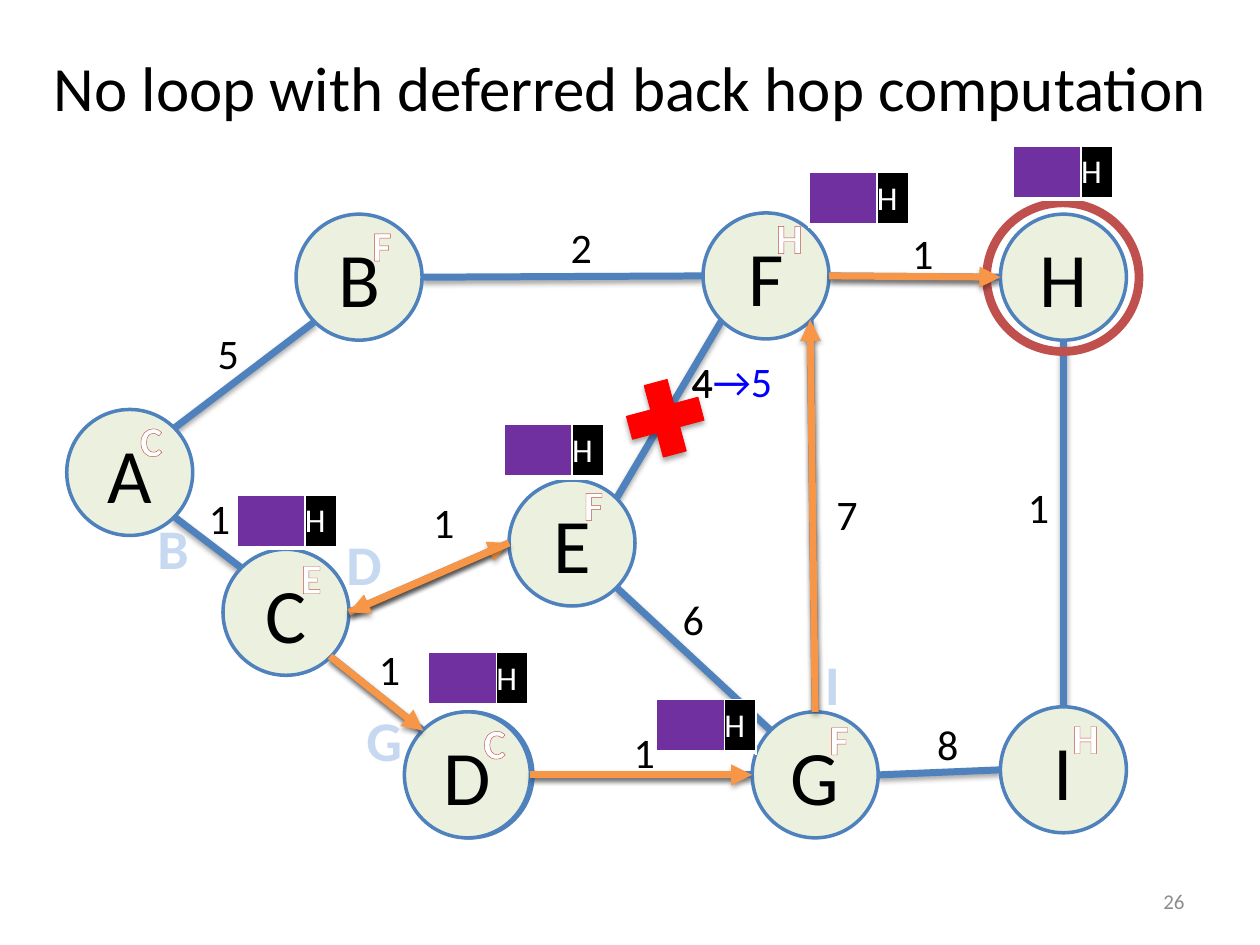
from lxml.etree import SubElement
from pptx import Presentation
from pptx.dml.color import RGBColor
from pptx.enum.dml import MSO_PATTERN
from pptx.enum.shapes import MSO_CONNECTOR, MSO_SHAPE
from pptx.enum.text import MSO_ANCHOR, PP_ALIGN
from pptx.oxml import parse_xml
from pptx.oxml.ns import nsdecls, qn
from pptx.util import Inches, Pt

BLACK = RGBColor(0x00, 0x00, 0x00)
WHITE = RGBColor(0xFF, 0xFF, 0xFF)
GREY = RGBColor(0x8C, 0x8C, 0x8C)
BLUE = RGBColor(0x4F, 0x81, 0xBD)
PURE_BLUE = RGBColor(0x00, 0x00, 0xFF)
NAVY = RGBColor(0x1F, 0x49, 0x7D)
DARK_NAVY = RGBColor(0x17, 0x37, 0x5E)
PALE_BLUE = RGBColor(0xC6, 0xD9, 0xF1)
PALE_GREEN = RGBColor(0xEB, 0xF1, 0xDE)
GREEN = RGBColor(0x9B, 0xBB, 0x59)
ORANGE = RGBColor(0xF7, 0x96, 0x46)
BRICK = RGBColor(0xC0, 0x50, 0x4D)
RED = RGBColor(0xFF, 0x00, 0x00)
PURPLE = RGBColor(0x70, 0x30, 0xA0)

TITLE = "No loop with deferred back hop computation"
NODE_SIZE = 1
NODES = {
    "A": (0.53, 3.25), "B": (2.35, 1.7), "C": (1.77, 4.36),
    "D": (3.21, 5.65), "E": (4.04, 3.81), "F": (5.58, 1.69),
    "G": (5.97, 5.65), "H": (7.94, 1.7), "I": (7.94, 5.61),
}
PORTS = {
    "n": (0.5, 0), "s": (0.5, 1), "w": (0, 0.5), "e": (1, 0.5),
    "nw": (0.15, 0.15), "ne": (0.85, 0.15),
    "sw": (0.15, 0.85), "se": (0.85, 0.85),
}
LINKS = [
    ("I", "n", "H", "s"), ("A", "ne", "B", "sw"), ("B", "e", "F", "w"),
    ("C", "nw", "A", "se"), ("E", "ne", "F", "sw"), ("G", "e", "I", "w"),
    ("E", "se", "G", "nw"), ("C", "e", "E", "w"), ("C", "se", "D", "nw"),
    ("D", "e", "G", "w"), ("G", "n", "F", "se"), ("F", "e", "H", "w"),
]
ROUTES = [
    ("C", "e", "E", "w"), ("E", "w", "C", "e"), ("C", "se", "D", "nw"),
    ("D", "e", "G", "w"), ("G", "n", "F", "se"), ("F", "e", "H", "w"),
]
COSTS = [
    ("2", 4.43, 1.71), ("1", 7.14, 1.76), ("8", 7.34, 5.65),
    ("1", 2.91, 5.06), ("6", 5.32, 4.66), ("7", 6.54, 3.83),
    ("1", 8.06, 3.77), ("5", 1.63, 2.55), ("1", 1.56, 3.86),
    ("1", 3.34, 3.89), ("1", 4.93, 5.72), ("4", 5.39, 2.78),
]
NEXT_HOPS = [
    ("C", 1.01, 3.24, 0.38), ("F", 2.85, 1.69, 0.36), ("H", 6.06, 1.63, 0.41),
    ("F", 6.48, 5.61, 0.36), ("C", 3.73, 5.64, 0.39), ("E", 2.29, 4.33, 0.29),
    ("H", 8.41, 5.6, 0.41), ("F", 4.53, 3.75, 0.36),
]
BACK_HOPS = [
    ("D", 2.65, 4.15, 0.33), ("I", 6.3, 5.11, 0.61),
    ("G", 2.81, 5.55, 0.33), ("B", 1.15, 4.03, 0.33),
]
PACKETS = [
    (1.88, 3.92), (4, 3.37), (1.88, 3.93), (3.4, 5.18),
    (5.21, 5.55), (6.42, 1.37), (8.04, 1.16),
]
PACKET_COLUMNS = (0.54, 0.25)
PACKET_HEIGHT = 0.42
BORDERS = {"lnL": 1, "lnR": 1, "lnT": 1, "lnB": 3}


def add_run(paragraph, text, size, color=None, **formats):
    run = paragraph.add_run()
    run.text = text
    for name, value in {"name": "Calibri", "size": Pt(size), **formats}.items():
        setattr(run.font, name, value)
    if color is not None:
        run.font.color.rgb = color
    return run


def line_xml(tag, color, width):
    return parse_xml(
        f'<a:{tag} {nsdecls("a")} w="{Pt(width)}"><a:solidFill>'
        f'<a:srgbClr val="{color}"/></a:solidFill></a:{tag}>')


def outline(run, color, width):
    run.font._element.insert(0, line_xml("ln", color, width))


def add_shadow(shape):
    shape._element.spPr.append(parse_xml(
        f'<a:effectLst {nsdecls("a")}><a:outerShdw blurRad="{Pt(3.1)}" dist="{Pt(1.8)}" '
        'dir="5400000" rotWithShape="0"><a:srgbClr val="000000"><a:alpha val="35000"/>'
        '</a:srgbClr></a:outerShdw></a:effectLst>'))


def add_label(slide, left, top, width, height=0.5, align=PP_ALIGN.LEFT):
    frame = slide.shapes.add_textbox(*map(Inches, (left, top, width, height))).text_frame
    frame.word_wrap = True
    frame.paragraphs[0].alignment = align
    return frame


def add_preset(slide, kind, box, fill, color, width):
    shape = slide.shapes.add_shape(kind, *map(Inches, box))
    if fill is None:
        shape.fill.background()
    else:
        shape.fill.solid()
        shape.fill.fore_color.rgb = fill
    shape.line.color.rgb = color
    shape.line.width = Pt(width)
    return shape


def add_node(slide, name, left, top, fill=PALE_GREEN):
    shape = add_preset(slide, MSO_SHAPE.OVAL, (left, top, NODE_SIZE, NODE_SIZE), fill, BLUE, 2)
    shape.shadow.inherit = False
    shape.text_frame.vertical_anchor = MSO_ANCHOR.MIDDLE
    paragraph = shape.text_frame.paragraphs[0]
    paragraph.alignment = PP_ALIGN.CENTER
    add_run(paragraph, name, 44, BLACK)


def port(node, side):
    return [Inches(start + share * NODE_SIZE) for start, share in zip(NODES[node], PORTS[side])]


def add_link(slide, start, start_side, end, end_side, color=BLUE, arrow=False):
    connector = slide.shapes.add_connector(
        MSO_CONNECTOR.STRAIGHT, *port(start, start_side), *port(end, end_side))
    connector.line.color.rgb = color
    connector.line.width = Pt(4)
    if arrow:
        SubElement(connector.line._get_or_add_ln(), qn("a:tailEnd"), type="triangle")
    add_shadow(connector)


def add_packet(slide, left, top):
    table = slide.shapes.add_table(
        1, 2, *map(Inches, (left, top, sum(PACKET_COLUMNS), PACKET_HEIGHT))).table
    table.first_row = table.horz_banding = False
    for column, width in zip(table.columns, PACKET_COLUMNS):
        column.width = Inches(width)
    for cell, fill in zip(table.rows[0].cells, (PURPLE, BLACK)):
        cell.fill.solid()
        cell.fill.fore_color.rgb = fill
        cell.vertical_anchor = MSO_ANCHOR.MIDDLE
        for side in ("left", "right", "top", "bottom"):
            setattr(cell, f"margin_{side}", 0)
        properties = cell._tc.get_or_add_tcPr()
        for index, (tag, width) in enumerate(BORDERS.items()):
            properties.insert(index, line_xml(tag, WHITE, width))
    add_run(table.cell(0, 1).text_frame.paragraphs[0], "H", 19, WHITE)


def main():
    presentation = Presentation()
    presentation.slide_width, presentation.slide_height = Inches(10), Inches(7.5)
    slide = presentation.slides.add_slide(presentation.slide_layouts[5])

    title = slide.shapes.title
    placement = {"left": 0, "top": 0.06, "width": 10, "height": 1.25}
    for name, value in placement.items():
        setattr(title, name, Inches(value))
    title.text_frame.vertical_anchor = MSO_ANCHOR.MIDDLE
    title.text_frame.paragraphs[0].alignment = PP_ALIGN.CENTER
    add_run(title.text_frame.paragraphs[0], TITLE, 36, BLACK)

    number = add_label(slide, 7.17, 6.95, 2.33, 0.4, PP_ALIGN.RIGHT)
    number.vertical_anchor = MSO_ANCHOR.MIDDLE
    add_run(number.paragraphs[0], "26", 12, GREY)

    for link in LINKS:
        add_link(slide, *link)
    add_node(slide, "D", 3.23, 5.65, GREEN)
    for name, place in NODES.items():
        add_node(slide, name, *place)
    ring = add_preset(slide, MSO_SHAPE.OVAL, (7.83, 1.61, 1.21, 1.18), None, BRICK, 5)
    ring.shadow.inherit = False

    change = add_label(slide, 5.39, 2.77, 1).paragraphs[0]
    add_run(change, "4", 24, BLACK)
    add_run(change, "→5", 24, PURE_BLUE)
    for text, left, top in COSTS:
        add_run(add_label(slide, left, top, 0.5).paragraphs[0], text, 24, BLACK)

    for text, left, top, width in NEXT_HOPS:
        label = add_label(slide, left, top, width, align=PP_ALIGN.CENTER)
        outline(add_run(label.paragraphs[0], text, 24, WHITE, bold=True), BRICK, 0.52)
    for place in PACKETS:
        add_packet(slide, *place)
    for route in ROUTES:
        add_link(slide, *route, color=ORANGE, arrow=True)

    cross = add_preset(slide, MSO_SHAPE.MATH_MULTIPLY, (4.88, 2.92, 0.8, 0.8), RED, RED, 0.5)
    cross.rotation = 30
    add_shadow(cross)

    for text, left, top, width in BACK_HOPS:
        label = add_label(slide, left, top, width, 0.64, PP_ALIGN.CENTER)
        run = add_run(label.paragraphs[0], text, 32, bold=True)
        run.font.fill.patterned()
        run.font.fill.pattern = MSO_PATTERN.DARK_UPWARD_DIAGONAL
        run.font.fill.fore_color.rgb = NAVY
        run.font.fill.back_color.rgb = PALE_BLUE
        outline(run, DARK_NAVY, 1)

    presentation.save("out.pptx")


if __name__ == "__main__":
    main()
